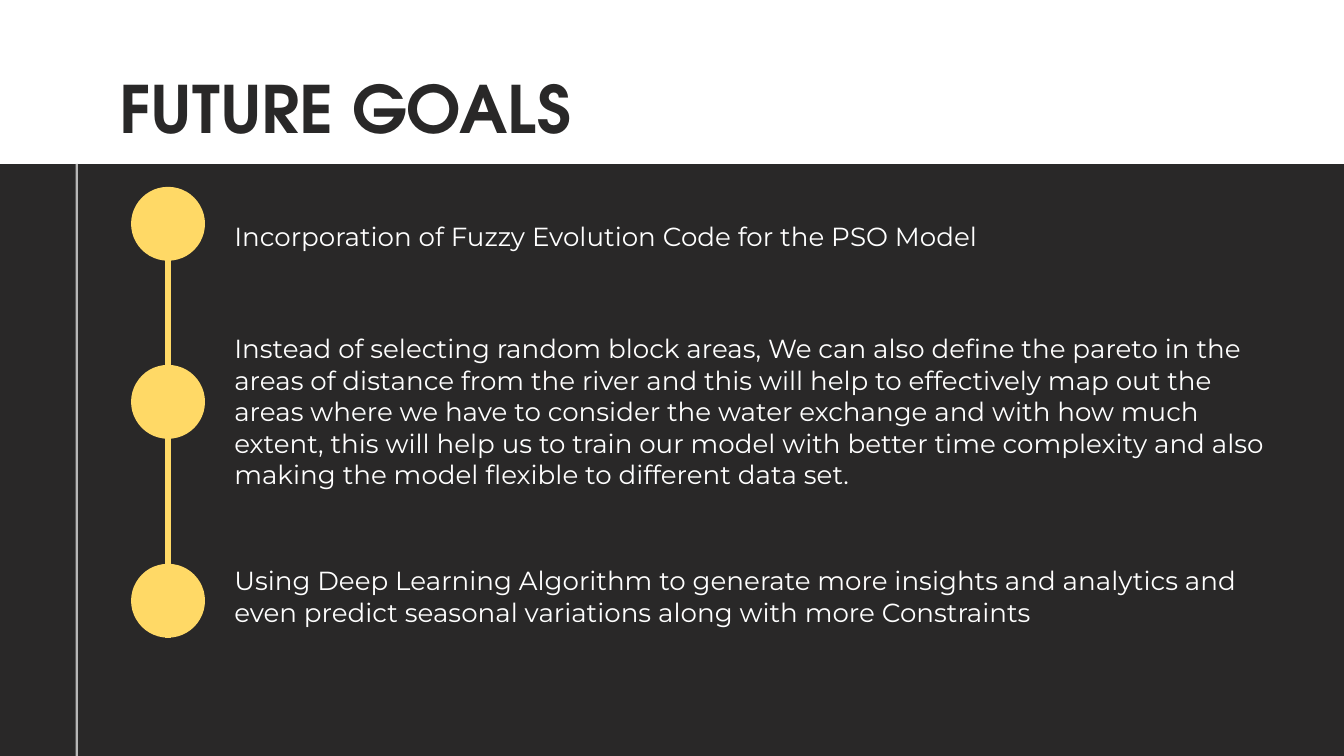
from dataclasses import dataclass

from lxml.etree import SubElement
from pptx import Presentation
from pptx.dml.color import RGBColor
from pptx.enum.shapes import MSO_CONNECTOR, MSO_SHAPE
from pptx.enum.text import MSO_ANCHOR
from pptx.oxml.ns import qn
from pptx.util import Inches, Pt


@dataclass(frozen=True)
class Theme:
    dark: str = "292828"
    light: str = "FFFFFF"
    rule: str = "B7B7B7"
    accent: str = "FFD966"
    title_font: str = "TeX Gyre Adventor"
    body_font: str = "Montserrat"
    title_size: int = 35
    body_size: int = 14
    line_width: int = 3


class SlideBuilder:
    """Places elements on a grid of tenths of an inch: 100 columns, 56.25 rows."""

    CELL = 0.1

    def __init__(self, slide, theme):
        self.slide = slide
        self.theme = theme

    def cells(self, *counts):
        return [Inches(count * self.CELL) for count in counts]

    def background(self, color):
        fill = self.slide.background.fill
        fill.solid()
        fill.fore_color.rgb = RGBColor.from_string(color)

    def shape(self, kind, col, row, cols, rows, color):
        shape = self.slide.shapes.add_shape(kind, *self.cells(col, row, cols, rows))
        shape.shadow.inherit = False
        shape.fill.solid()
        shape.fill.fore_color.rgb = RGBColor.from_string(color)
        shape.line.fill.background()

    def line(self, start_col, start_row, end_col, end_row, color):
        line = self.slide.shapes.add_connector(
            MSO_CONNECTOR.STRAIGHT,
            *self.cells(start_col, start_row, end_col, end_row))
        line.line.color.rgb = RGBColor.from_string(color)
        line.line.width = Pt(self.theme.line_width)
        SubElement(line._element.spPr, qn("a:effectLst"))

    def text(self, wording, col, row, cols, rows, font, size, color, bold=False):
        box = self.slide.shapes.add_textbox(*self.cells(col, row, cols, rows))
        frame = box.text_frame
        frame.word_wrap = True
        frame.vertical_anchor = MSO_ANCHOR.MIDDLE
        frame.margin_left = frame.margin_right = Inches(0.1)
        frame.margin_top = frame.margin_bottom = Inches(0.1)
        paragraph = frame.paragraphs[0]
        paragraph.text = wording
        paragraph.font.name = font
        paragraph.font.size = Pt(size)
        paragraph.font.bold = bold
        paragraph.font.color.rgb = RGBColor.from_string(color)


# Each goal: marker row, text row, text columns, text rows, wording
GOALS = [
    (13.9, 15.4, 70.8, 4.4,
     "Incorporation of Fuzzy Evolution Code for the PSO Model"),
    (27.15, 22.85, 80.2, 15.5,
     "Instead of selecting random block areas, We can also define the pareto "
     "in the areas of distance from the river and this will help to effectively "
     "map out the areas where we have to consider the water exchange and with "
     "how much extent, this will help us to train our model with better time "
     "complexity and also making the model flexible to different data set."),
    (41.95, 40.15, 80.2, 8.4,
     "Using Deep Learning Algorithm to generate more insights and analytics "
     "and even predict seasonal variations along with more Constraints"),
]
SLIDE_COLS, SLIDE_ROWS = 100, 56.25
HEADER_ROWS = 12.2
MARKER_COL, MARKER_SIZE = 9.75, 5.5
GOAL_COL = 16.45


def main():
    deck = Presentation()
    theme = Theme()
    builder = SlideBuilder(deck.slides.add_slide(deck.slide_layouts[6]), theme)
    deck.slide_width, deck.slide_height = builder.cells(SLIDE_COLS, SLIDE_ROWS)

    # Backdrop: white header band and thin vertical rule
    builder.background(theme.dark)
    builder.shape(MSO_SHAPE.RECTANGLE, 0, 0, SLIDE_COLS + 0.1, HEADER_ROWS,
                  theme.light)
    builder.shape(MSO_SHAPE.RECTANGLE, 5.63, HEADER_ROWS, 0.16,
                  SLIDE_ROWS - HEADER_ROWS, theme.rule)

    # Title
    builder.text("FUTURE GOALS", 7.9, 4.85, 84.3, 6.3, theme.title_font,
                 theme.title_size, theme.dark, bold=True)

    # Timeline running through the marker centres
    centre_col = MARKER_COL + MARKER_SIZE / 2
    first_row, last_row = GOALS[0][0], GOALS[-1][0]
    builder.line(centre_col, first_row + 0.6,
                 centre_col, last_row + MARKER_SIZE, theme.accent)

    # Goals with their markers
    for marker_row, *_ in GOALS:
        builder.shape(MSO_SHAPE.OVAL, MARKER_COL, marker_row,
                      MARKER_SIZE, MARKER_SIZE, theme.accent)
    for _, row, cols, rows, wording in GOALS:
        builder.text(wording, GOAL_COL, row, cols, rows, theme.body_font,
                     theme.body_size, theme.light)

    deck.save("out.pptx")


if __name__ == "__main__":
    main()
